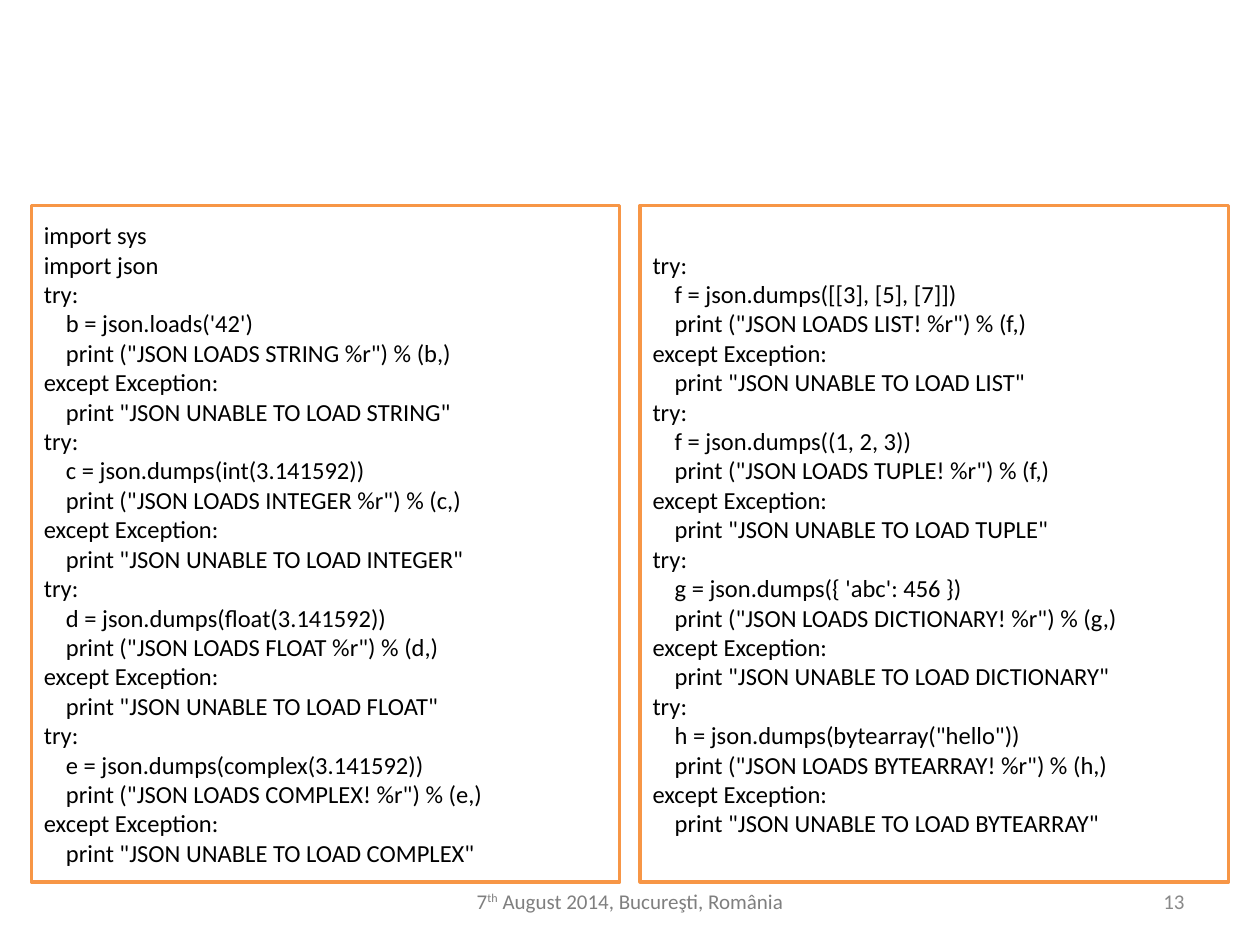
from dataclasses import dataclass

from pptx import Presentation
from pptx.dml.color import RGBColor
from pptx.enum.shapes import MSO_SHAPE
from pptx.enum.text import MSO_ANCHOR, PP_ALIGN
from pptx.util import Pt

RECTANGLE = MSO_SHAPE.RECTANGLE
MIDDLE = MSO_ANCHOR.MIDDLE
LEFT, CENTER, RIGHT = PP_ALIGN.LEFT, PP_ALIGN.CENTER, PP_ALIGN.RIGHT

COLORS = {
    "border": "F79646",
    "code": "000000",
    "date": "7F7F7F",
    "number": "898989",
}
FONT = "Calibri"
PANEL_TOP, PANEL_WIDTH, PANEL_HEIGHT = 117.4, 336.2, 386.6
FOOTER_TOP, FOOTER_HEIGHT = 500.4, 28.8
SUPERSCRIPT = "30000"


@dataclass
class Trial:
    """One try/except block of the listing."""
    variable: str
    call: str
    kind: str
    mark: str = "!"

    def lines(self) -> list[str]:
        return [
            "try:",
            f"    {self.variable} = json.{self.call}",
            f'    print ("JSON LOADS {self.kind}{self.mark} %r") % ({self.variable},)',
            "except Exception:",
            f'    print "JSON UNABLE TO LOAD {self.kind}"',
        ]


@dataclass
class Panel:
    left: float
    imports: list[str]
    trials: list[Trial]


@dataclass
class Footer:
    left: float
    width: float
    pieces: list[tuple[str, bool]]  # text, raised
    align: PP_ALIGN
    color: str


PANELS = [
    Panel(18, ["import sys", "import json"], [
        Trial("b", "loads('42')", "STRING", ""),
        Trial("c", "dumps(int(3.141592))", "INTEGER", ""),
        Trial("d", "dumps(float(3.141592))", "FLOAT", ""),
        Trial("e", "dumps(complex(3.141592))", "COMPLEX"),
    ]),
    Panel(365.8, [], [
        Trial("f", "dumps([[3], [5], [7]])", "LIST"),
        Trial("f", "dumps((1, 2, 3))", "TUPLE"),
        Trial("g", "dumps({ 'abc': 456 })", "DICTIONARY"),
        Trial("h", 'dumps(bytearray("hello"))', "BYTEARRAY"),
    ]),
]
FOOTERS = [
    Footer(231.1, 257.8,
           [("7", False), ("th", True), (" August 2014, Bucureşti, România", False)],
           CENTER, "date"),
    Footer(516.2, 167.8, [("13", False)], RIGHT, "number"),
]


def rgb(name: str) -> RGBColor:
    return RGBColor.from_string(COLORS[name])


def format_paragraph(paragraph, size: float, color: str, align: PP_ALIGN) -> None:
    paragraph.alignment = align
    paragraph.font.name = FONT
    paragraph.font.size = Pt(size)
    paragraph.font.color.rgb = rgb(color)


def draw_panel(slide, panel: Panel) -> None:
    box = slide.shapes.add_shape(RECTANGLE, Pt(panel.left), Pt(PANEL_TOP),
                                 Pt(PANEL_WIDTH), Pt(PANEL_HEIGHT))
    box.shadow.inherit = False
    box.fill.background()
    box.line.color.rgb = rgb("border")
    box.line.width = Pt(2)
    frame = box.text_frame
    frame.word_wrap = True
    frame.vertical_anchor = MIDDLE
    code = panel.imports + [line for trial in panel.trials for line in trial.lines()]
    frame.text = "\n".join(code)
    for paragraph in frame.paragraphs:
        format_paragraph(paragraph, 14, "code", LEFT)


def draw_footer(slide, footer: Footer) -> None:
    box = slide.shapes.add_textbox(Pt(footer.left), Pt(FOOTER_TOP),
                                   Pt(footer.width), Pt(FOOTER_HEIGHT))
    frame = box.text_frame
    frame.word_wrap = True
    frame.vertical_anchor = MIDDLE
    paragraph = frame.paragraphs[0]
    format_paragraph(paragraph, 12, footer.color, footer.align)
    for text, raised in footer.pieces:
        run = paragraph.add_run()
        run.text = text
        if raised:
            run._r.get_or_add_rPr().set("baseline", SUPERSCRIPT)


def main() -> None:
    deck = Presentation()
    deck.slide_width, deck.slide_height = Pt(720), Pt(540)
    slide = deck.slides.add_slide(deck.slide_layouts[6])
    for footer in FOOTERS:
        draw_footer(slide, footer)
    for panel in PANELS:
        draw_panel(slide, panel)
    deck.save("out.pptx")


if __name__ == "__main__":
    main()
